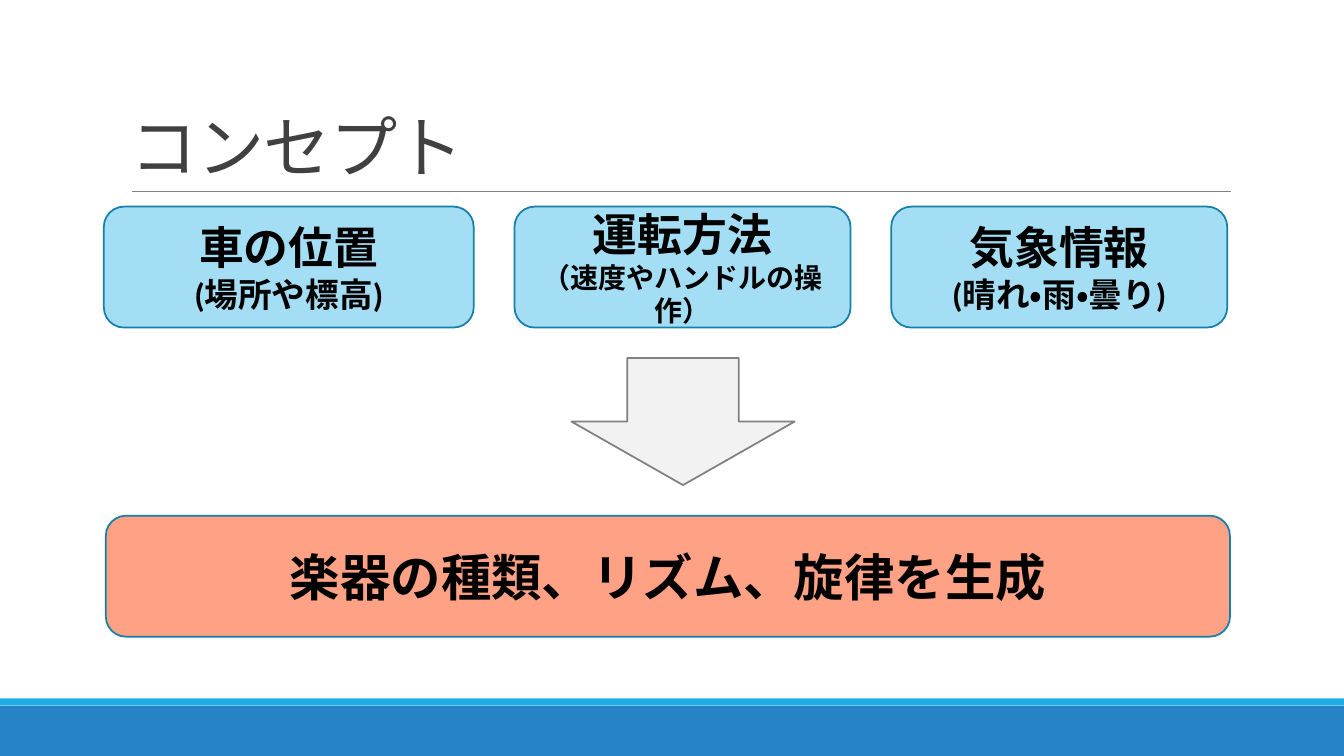
from dataclasses import dataclass

from lxml import etree
from pptx import Presentation
from pptx import util as u
from pptx.dml.color import RGBColor
from pptx.enum import lang, shapes, text
from pptx.oxml.ns import qn


@dataclass(frozen=True)
class Theme:
    """Colours, font and type sizes of the slide."""
    font: str = "Calibri"
    ink: str = "000000"
    heading: str = "404040"
    grey: str = "808080"
    pale_grey: str = "F2F2F2"
    band: str = "2683C6"
    stripe: str = "1CADE4"
    source: str = "A4DEF4"
    result: str = "FEA184"
    border: str = "1580A9"
    title_size: float = 48
    result_size: float = 36
    label_size: float = 32
    note_size: float = 24
    long_note_size: float = 20
    rule_width: float = 0.5
    border_width: float = 1.25


class ConceptSlide:
    """Draws elements on one slide in the style of a theme."""

    def __init__(self, slide, theme):
        """Keep the slide and its theme."""
        self.slide, self.theme = slide, theme

    def add_lines(self, element, lines, **formats):
        """Put (words, size) lines into an element, one paragraph each."""
        style = {"bold": True, "color": self.theme.ink,
                 "align": text.PP_ALIGN.CENTER, "anchor": text.MSO_ANCHOR.MIDDLE,
                 "line_spacing": 1.0, **formats}
        frame = element.text_frame
        frame.word_wrap = True
        frame.vertical_anchor = style["anchor"]
        for index, (words, size) in enumerate(lines):
            paragraph = frame.paragraphs[0] if index == 0 else frame.add_paragraph()
            paragraph.alignment = style["align"]
            paragraph.line_spacing = style["line_spacing"]
            run = paragraph.add_run()
            run.text = words
            values = {"name": self.theme.font, "bold": style["bold"], "size": u.Pt(size),
                      "language_id": lang.MSO_LANGUAGE_ID.JAPANESE}
            for key, value in values.items():
                setattr(run.font, key, value)
            run.font.color.rgb = RGBColor.from_string(style["color"])
            if "tracking" in style:
                run.font._element.set("spc", str(style["tracking"]))

    def block(self, kind, box, fill, border=None):
        """Add a filled preset shape, outlined if a border colour is given."""
        block = self.slide.shapes.add_shape(kind, *map(u.Pt, box))
        block.shadow.inherit = False
        block.fill.solid()
        block.fill.fore_color.rgb = RGBColor.from_string(fill)
        if border:
            block.line.color.rgb = RGBColor.from_string(border)
            block.line.width = u.Pt(self.theme.border_width)
        else:
            block.line.fill.background()
        return block

    def card(self, box, fill, lines):
        """Add a rounded card with centred bold text."""
        card = self.block(shapes.MSO_SHAPE.ROUNDED_RECTANGLE, box, fill, self.theme.border)
        self.add_lines(card, lines)

    def rule(self, left, right, top):
        """Add a thin horizontal line."""
        rule = self.slide.shapes.add_connector(
            shapes.MSO_CONNECTOR.STRAIGHT, *map(u.Pt, (left, top, right, top)))
        rule.line.color.rgb = RGBColor.from_string(self.theme.grey)
        rule.line.width = u.Pt(self.theme.rule_width)
        etree.SubElement(rule._element.spPr, qn("a:effectLst"))

    def title(self, box, words):
        """Add the slide heading, resting on the bottom of its box."""
        heading = self.slide.shapes.add_textbox(*map(u.Pt, box))
        self.add_lines(heading, [(words, self.theme.title_size)], bold=False,
                       color=self.theme.heading, align=text.PP_ALIGN.LEFT,
                       anchor=text.MSO_ANCHOR.BOTTOM, line_spacing=0.85, tracking=-50)


def main():
    """Build the concept slide and save it."""
    deck = Presentation()
    deck.slide_width, deck.slide_height = u.Pt(960), u.Pt(540)
    theme = Theme()
    concept = ConceptSlide(deck.slides.add_slide(deck.slide_layouts[6]), theme)

    concept.block(shapes.MSO_SHAPE.RECTANGLE, (0, 504, 960, 36), theme.band)
    concept.block(shapes.MSO_SHAPE.RECTANGLE, (0, 498.8, 960, 5.04), theme.stripe)
    concept.rule(94.3, 879, 136.8)
    concept.title((86.4, 22.6, 792, 114.2), "コンセプト")

    left, gap, card_height = 74.2, 29.1, 86.4
    inputs = [
        (264.2, "車の位置", "(場所や標高)", theme.note_size),
        (240, "運転方法", "（速度やハンドルの操作）", theme.long_note_size),
        (240, "気象情報", "(晴れ・雨・曇り)", theme.note_size),
    ]
    for width, label, note, note_size in inputs:
        concept.card((left, 147.6, width, card_height), theme.source,
                     [(label, theme.label_size), (note, note_size)])
        left += width + gap

    concept.block(shapes.MSO_SHAPE.DOWN_ARROW, (408.2, 255.8, 159.4, 90.7),
                  theme.pale_grey, theme.grey)
    concept.card((75.6, 368.4, 803, card_height), theme.result,
                 [("楽器の種類、リズム、旋律を生成", theme.result_size)])

    deck.save("out.pptx")


if __name__ == "__main__":
    main()
